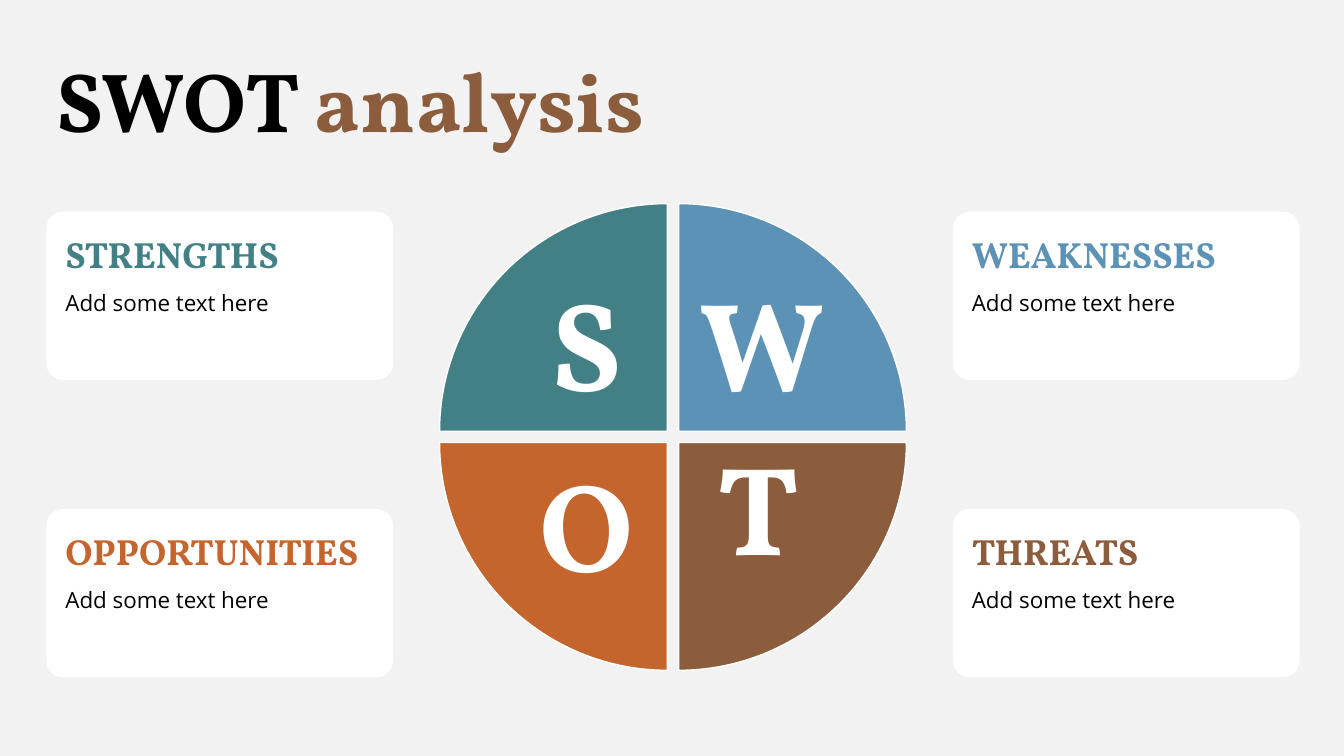
from pptx import Presentation
from pptx.dml.color import RGBColor
from pptx.enum import shapes, text
from pptx.util import Inches, Pt

TEAL, BLUE, BROWN, ORANGE = "438086", "5C92B5", "8B5D3D", "C4652D"
WHITE, BLACK, PALE = "FFFFFF", "000000", "F2F2F2"


def color(value):
    return RGBColor.from_string(value)


class SwotSlide:
    heading_font = "Vollkorn"
    body_font = "Open Sans"
    line_spacing = 0.9

    def __init__(self, deck):
        self.page = deck.slides.add_slide(deck.slide_layouts[6])
        self.page.background.fill.solid()
        self.page.background.fill.fore_color.rgb = color(PALE)

    def add_words(self, para, words, size, ink, bold=True, **paragraph_format):
        formats = {"alignment": text.PP_ALIGN.LEFT, "line_spacing": self.line_spacing}
        for name, value in (formats | paragraph_format).items():
            setattr(para, name, value)
        span = para.add_run()
        span.text = words
        font = self.heading_font if bold else self.body_font
        for name, value in {"name": font, "size": Pt(size), "bold": bold}.items():
            setattr(span.font, name, value)
        span.font.color.rgb = color(ink)

    def set_frame(self, frame, across, down, anchor):
        formats = {
            "margin_left": Inches(across), "margin_right": Inches(across),
            "margin_top": Inches(down), "margin_bottom": Inches(down),
            "vertical_anchor": anchor, "word_wrap": True,
        }
        for name, value in formats.items():
            setattr(frame, name, value)

    def shape(self, kind, left, top, width, height, fill):
        box = self.page.shapes.add_shape(
            kind, Inches(left), Inches(top), Inches(width), Inches(height))
        box.shadow.inherit = False
        box.fill.solid()
        box.fill.fore_color.rgb = color(fill)
        return box

    def title(self, left, top, width, height, parts):
        box = self.page.shapes.add_textbox(
            Inches(left), Inches(top), Inches(width), Inches(height))
        frame = box.text_frame
        self.set_frame(frame, 0.1, 0.05, text.MSO_ANCHOR.TOP)
        frame.auto_size = text.MSO_AUTO_SIZE.SHAPE_TO_FIT_TEXT
        for words, ink in parts:
            self.add_words(frame.paragraphs[0], words, 60, ink)

    def card(self, left, top, heading, ink):
        box = self.shape(shapes.MSO_SHAPE.ROUNDED_RECTANGLE, left, top, 3.44, 1.67, WHITE)
        box.adjustments[0] = 0.1
        box.line.fill.background()
        frame = box.text_frame
        self.set_frame(frame, 0.14, 0.2, text.MSO_ANCHOR.TOP)
        self.add_words(frame.paragraphs[0], heading, 26, ink)
        self.add_words(frame.add_paragraph(), "Add some text here", 16, BLACK,
                       bold=False, space_before=Pt(11.3))

    def wedge(self, left, top, letter, fill, rotation, anchor, direction):
        box = self.shape(shapes.MSO_SHAPE.PIE_WEDGE, left, top, 2.26, 2.26, fill)
        box.rotation = rotation
        box.line.color.rgb = color(WHITE)
        box.line.width = Pt(1)
        frame = box.text_frame
        self.set_frame(frame, 0.21, 0.21, anchor)
        for name, value in direction.items():
            frame._txBody.bodyPr.set(name, value)
        self.add_words(frame.paragraphs[0], letter, 90, WHITE, alignment=text.PP_ALIGN.CENTER)


def main():
    deck = Presentation()
    deck.slide_width, deck.slide_height = Inches(13.33), Inches(7.5)
    swot = SwotSlide(deck)
    swot.title(0.46, 0.55, 10.01, 1, [("SWOT ", BLACK), ("analysis", BROWN)])

    anchors = text.MSO_ANCHOR
    quadrants = [
        ("STRENGTHS", TEAL, 0, 0, 0, anchors.MIDDLE, {}),
        ("WEAKNESSES", BLUE, 1, 0, 90, anchors.MIDDLE, {"vert": "vert270"}),
        ("THREATS", BROWN, 1, 1, 180, anchors.BOTTOM, {"rot": "10800000"}),
        ("OPPORTUNITIES", ORANGE, 0, 1, 270, anchors.TOP, {"vert": "vert"}),
    ]
    for heading, ink, column, row, *_ in quadrants:
        swot.card(0.46 + column * 8.99, 2.1 + row * 2.95, heading, ink)
    for heading, ink, column, row, rotation, anchor, direction in quadrants:
        swot.wedge(4.36 + column * 2.37, 2.02 + row * 2.37, heading[0], ink,
                   rotation, anchor, direction)
    deck.save("out.pptx")


if __name__ == "__main__":
    main()
